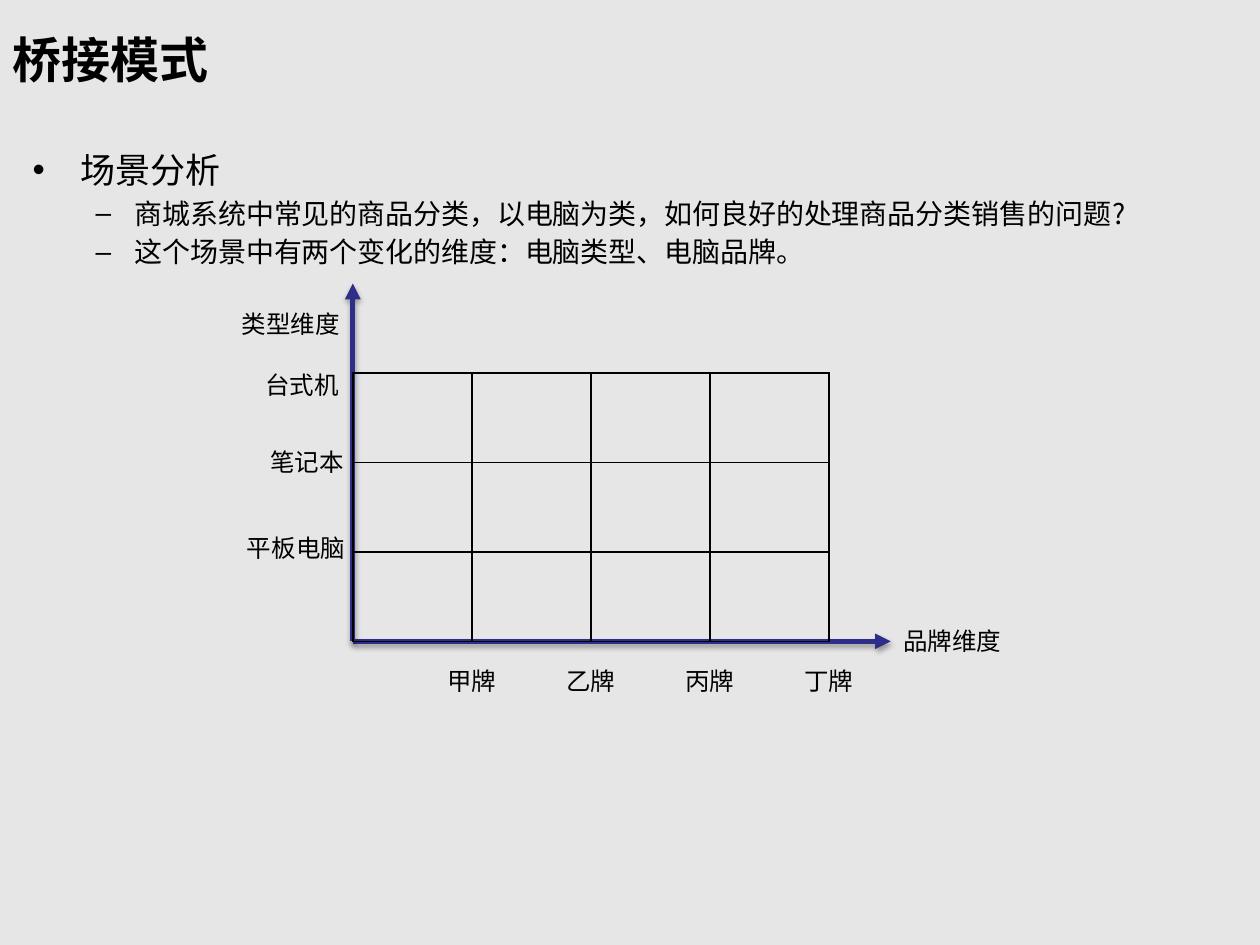
from lxml import etree
from pptx import Presentation
from pptx import util as u
from pptx.dml.color import RGBColor
from pptx.enum import shapes, text
from pptx.oxml import parse_xml
from pptx.oxml.ns import qn

BLACK = RGBColor(0, 0, 0)
NAVY = RGBColor(0x2D, 0x2D, 0x8A)
GREY = RGBColor(0xE6, 0xE6, 0xE6)
NS = 'xmlns:a="http://schemas.openxmlformats.org/drawingml/2006/main"'
CJK = "Noto Sans CJK SC"
LEFT, TOP, COL, ROW = 2.8, 2.96, 0.945, 0.71
COLS, ROWS = 4, 3
BASE = TOP + ROWS * ROW
TYPES = [("类型维度", 2.8, 2.4), ("台式机", 2.79, 2.89),
         ("笔记本", 2.83, 3.5), ("平板电脑", 2.84, 4.18)]
BRANDS = ["甲牌", "乙牌", "丙牌", "丁牌"]
BODY = [("场景分析", 20, "•", 0.38, 0.38, 27),
        ("商城系统中常见的商品分类，以电脑为类，如何良好的处理商品分类销售的问题?",
         16, "–", 0.81, 0.31, 19),
        ("这个场景中有两个变化的维度：电脑类型、电脑品牌。", 16, "–", 0.81, 0.31, 19)]


def style(para, size, face, bold=False):
    """Format every run of a paragraph."""
    for run in para.runs:
        run.font.size = u.Pt(size)
        run.font.name = face
        run.font.bold = bold
        run.font.color.rgb = BLACK
        east = etree.SubElement(run.font._element, qn("a:ea"))
        east.set("typeface", CJK)


def add_box(slide, x, y, w, h):
    """Add an empty text box placed in inches."""
    return slide.shapes.add_textbox(*map(u.Inches, (x, y, w, h)))


def add_title(slide, words):
    """Add the bold slide title."""
    box = add_box(slide, 0, 0, 7.76, 0.94)
    box.fill.solid()
    box.fill.fore_color.rgb = GREY
    frame = box.text_frame
    frame.text = words
    frame.word_wrap = True
    frame.vertical_anchor = text.MSO_ANCHOR.MIDDLE
    style(frame.paragraphs[0], 28, "Arial", True)


def add_body(slide):
    """Add the bulleted outline."""
    frame = add_box(slide, 0.16, 1.09, 9.61, 5.55).text_frame
    frame.word_wrap = True
    for i, (words, size, mark, margin, hang, line) in enumerate(BODY):
        para = frame.add_paragraph() if i else frame.paragraphs[0]
        para.text = words
        para.level = min(i, 1)
        para.line_spacing = u.Pt(line)
        if i:
            para.space_before = u.Pt(0.2 * size)
        props = para._p.get_or_add_pPr()
        props.set("marL", str(u.Inches(margin)))
        props.set("indent", str(-u.Inches(hang)))
        font = etree.SubElement(props, qn("a:buFont"))
        font.set("typeface", "Arial")
        etree.SubElement(props, qn("a:buChar")).set("char", mark)
        style(para, size, CJK)


def add_axis(slide, x, y):
    """Draw a shadowed arrow from the grid origin to a point."""
    ends = map(u.Inches, (LEFT, BASE, x, y))
    axis = slide.shapes.add_connector(shapes.MSO_CONNECTOR.STRAIGHT, *ends)
    axis.line.color.rgb = NAVY
    axis.line.width = u.Pt(3)
    tail = etree.SubElement(axis.line._get_or_add_ln(), qn("a:tailEnd"))
    tail.set("type", "triangle")
    axis._element.spPr.append(parse_xml(
        f'<a:effectLst {NS}><a:outerShdw blurRad="{u.Pt(3.1)}" '
        f'dist="{u.Pt(1.8)}" dir="5400000" rotWithShape="0">'
        '<a:srgbClr val="000000"><a:alpha val="35000"/></a:srgbClr>'
        '</a:outerShdw></a:effectLst>'))


def add_grid(slide):
    """Add the empty table with thin black borders."""
    size = map(u.Inches, (LEFT, TOP, COLS * COL, ROWS * ROW))
    table = slide.shapes.add_table(ROWS, COLS, *size).table
    table.first_row = table.horz_banding = False
    for cell in table.iter_cells():
        props = cell._tc.get_or_add_tcPr()
        for side in "LRTB":
            props.append(parse_xml(
                f'<a:ln{side} {NS} w="{u.Pt(1)}"><a:solidFill>'
                f'<a:srgbClr val="{BLACK}"/></a:solidFill></a:ln{side}>'))
        cell.fill.background()


def add_label(slide, words, x, y, share=0):
    """Add a label with x at the given share of its width."""
    wide = 0.2 + len(words) * 14 / 72
    frame = add_box(slide, x - share * wide, y, wide, 0.34).text_frame
    frame.text = words
    frame.word_wrap = False
    style(frame.paragraphs[0], 14, "Cabin")


def main():
    """Build and save the slide."""
    deck = Presentation()
    deck.slide_width, deck.slide_height = u.Inches(10), u.Inches(7.5)
    slide = deck.slides.add_slide(deck.slide_layouts[6])
    slide.background.fill.solid()
    slide.background.fill.fore_color.rgb = GREY
    add_title(slide, "桥接模式")
    add_body(slide)
    add_axis(slide, 7.07, BASE)
    add_axis(slide, LEFT, 2.25)
    add_grid(slide)
    add_label(slide, "品牌维度", 7.07, 4.92)
    for words, right, y in TYPES:
        add_label(slide, words, right, y, 1)
    for i, words in enumerate(BRANDS, 1):
        add_label(slide, words, LEFT + i * COL, 5.24, 0.5)
    deck.save("out.pptx")


if __name__ == "__main__":
    main()
